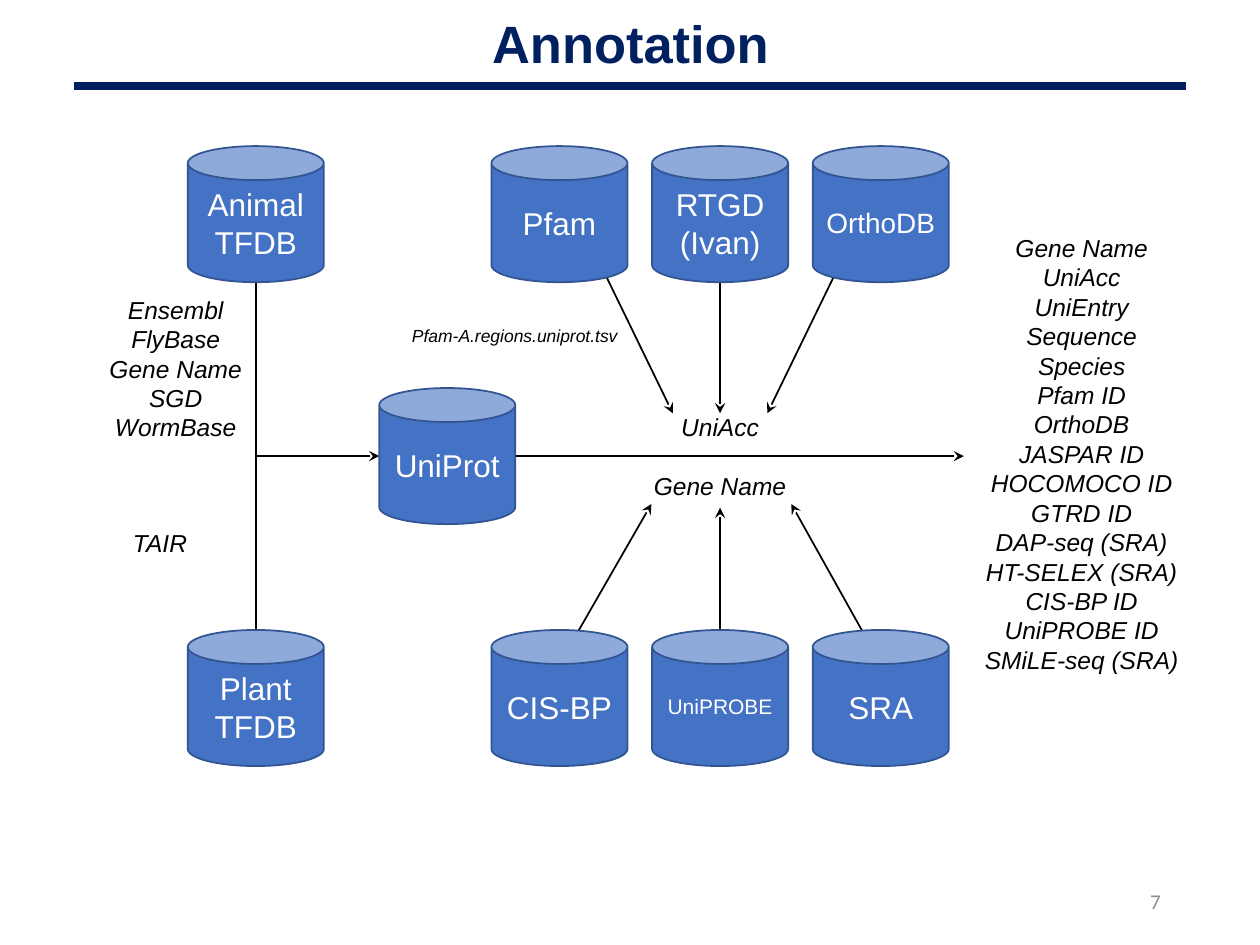
import lxml.etree
import pptx
import pptx.dml.color
import pptx.enum.shapes
import pptx.enum.text
import pptx.oxml.ns
import pptx.util

Inches = pptx.util.Inches
ALIGN = pptx.enum.text.PP_ALIGN
ANCHOR = pptx.enum.text.MSO_ANCHOR
qn = pptx.oxml.ns.qn

NAVY, BLUE, EDGE = "002060", "4472C4", "325491"
BLACK, WHITE, GREY = "000000", "FFFFFF", "8C8C8C"

# Centres of the database grid, in inches
CAN = 1.08
COLUMNS = {"species": 2.03, "hub": 3.55, "left": 4.44, "middle": 5.715, "right": 6.99}
ROWS = {"top": 1.7, "middle": 3.62, "bottom": 5.54}

presentation = pptx.Presentation()
presentation.slide_width, presentation.slide_height = Inches(10), Inches(7.5)
slide = presentation.slides.add_slide(presentation.slide_layouts[6])
shapes = slide.shapes


def color(value):
    return pptx.dml.color.RGBColor.from_string(value)


def write(shape, lines, text_color=BLACK, align=ALIGN.CENTER, gap=0, **font):
    """Fill a shape with one paragraph per line; gap is the space between them in points."""
    frame = shape.text_frame
    frame.word_wrap = True
    frame.text = "\n".join(lines)
    settings = {"name": "Arial", "size": 14, **font}
    settings["size"] = pptx.util.Pt(settings["size"])
    for index, paragraph in enumerate(frame.paragraphs):
        paragraph.alignment = align
        paragraph.space_before = pptx.util.Pt(gap if index else 0)
        for name, value in settings.items():
            setattr(paragraph.runs[0].font, name, value)
        paragraph.runs[0].font.color.rgb = color(text_color)
    return frame


# Lines: tip, origin, color, width, arrowhead at the tip
species, middle = COLUMNS["species"], COLUMNS["middle"]
center, top, bottom = ROWS["middle"], ROWS["top"], ROWS["bottom"]
half = CAN / 2
lines = [
    ((0.59, 0.68), (9.41, 0.68), NAVY, 4.5, False),
    ((species, bottom - half), (species, top + half), BLACK, 1, False),
    ((COLUMNS["hub"] - half, center), (species, center), BLACK, 1, True),
    ((7.65, center), (COLUMNS["hub"] + half, center), BLACK, 1, True),
    ((middle, 3.28), (middle, top + half), BLACK, 1, True),
    ((middle, 4.03), (middle, bottom - half), BLACK, 1, True),
]
# Slanted arrows start behind the outer databases and point at the shared keys
for column, upper_tip, lower_tip in [("left", 5.34, 5.17), ("right", 6.09, 6.28)]:
    lines.append(((upper_tip, 3.28), (COLUMNS[column], top - 0.27), BLACK, 1, True))
    lines.append(((lower_tip, 4), (COLUMNS[column], bottom - 0.27), BLACK, 1, True))

for tip, origin, line_color, width, arrow in lines:
    connector = shapes.add_connector(
        pptx.enum.shapes.MSO_CONNECTOR.STRAIGHT, *map(Inches, tip + origin)
    )
    connector.line.color.rgb = color(line_color)
    connector.line.width = pptx.util.Pt(width)
    properties = connector.element.find(qn("p:spPr"))
    if arrow:
        outline = properties.find(qn("a:ln"))
        lxml.etree.SubElement(outline, qn("a:headEnd"), type="stealth")
    lxml.etree.SubElement(properties, qn("a:effectLst"))

databases = [
    ("species", "top", ["Animal", "TFDB"], 18),
    ("species", "bottom", ["Plant", "TFDB"], 18),
    ("hub", "middle", ["UniProt"], 18),
    ("left", "top", ["Pfam"], 18),
    ("middle", "top", ["RTGD", "(Ivan)"], 18),
    ("right", "top", ["OrthoDB"], 16),
    ("left", "bottom", ["CIS-BP"], 18),
    ("middle", "bottom", ["UniPROBE"], 12),
    ("right", "bottom", ["SRA"], 18),
]
for column, row, label, size in databases:
    can = shapes.add_shape(
        pptx.enum.shapes.MSO_SHAPE.CAN,
        Inches(COLUMNS[column] - half), Inches(ROWS[row] - half), Inches(CAN), Inches(CAN),
    )
    can.shadow.inherit = False
    can.fill.solid()
    can.fill.fore_color.rgb = color(BLUE)
    can.line.color.rgb = color(EDGE)
    can.line.width = pptx.util.Pt(1)
    frame = write(can, label, WHITE, size=size)
    frame.margin_left = frame.margin_right = 0
    frame.vertical_anchor = ANCHOR.MIDDLE

output_fields = [
    "Gene Name", "UniAcc", "UniEntry", "Sequence", "Species", "Pfam ID", "OrthoDB",
    "JASPAR ID", "HOCOMOCO ID", "GTRD ID", "DAP-seq (SRA)", "HT-SELEX (SRA)",
    "CIS-BP ID", "UniPROBE ID", "SMiLE-seq (SRA)",
]
animal_keys = ["Ensembl", "FlyBase", "Gene Name", "SGD", "WormBase"]
texts = [
    ((1.72, 0.04, 6.57, 0.61), ["Annotation"], {"size": 30, "bold": True, "text_color": NAVY}),
    ((3.15, 2.53, 1.87, 0.27), ["Pfam-A.regions.uniprot.tsv"], {"size": 10, "italic": True}),
    ((0.76, 2.29, 1.27, 1.28), animal_keys, {"italic": True}),
    ((0.51, 4.14, 1.52, 0.34), ["TAIR"], {"italic": True}),
    ((5.08, 3.22, 1.27, 0.81), ["UniAcc", "Gene Name"], {"italic": True, "gap": 17}),
    ((7.68, 1.8, 1.81, 3.64), output_fields, {"italic": True}),
    ((7.06, 6.95, 2.25, 0.4), ["7"],
     {"name": "Calibri", "size": 12, "text_color": GREY, "align": ALIGN.RIGHT}),
]
for box, content, style in texts:
    frame = write(shapes.add_textbox(*map(Inches, box)), content, **style)
    frame.vertical_anchor = ANCHOR.MIDDLE if content == ["7"] else ANCHOR.TOP

presentation.save("out.pptx")
